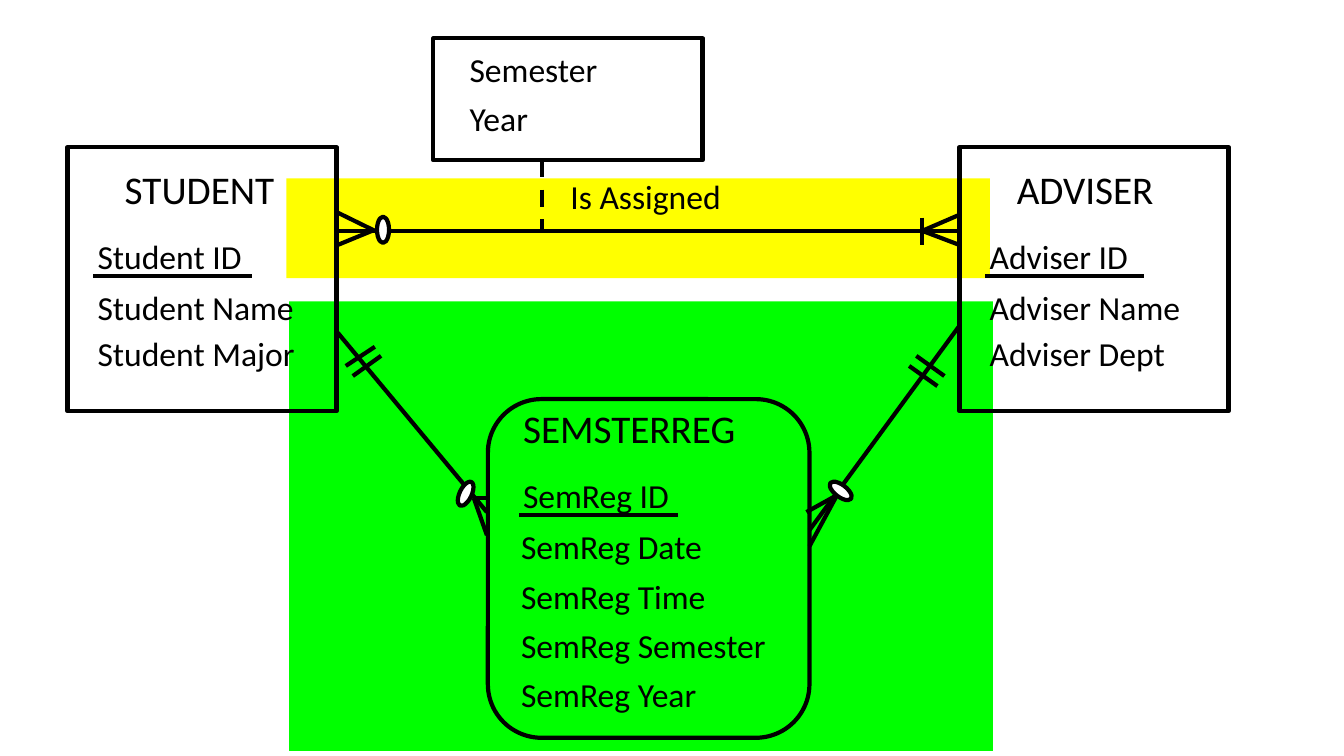
from lxml.etree import SubElement
from pptx import Presentation
from pptx.dml.color import RGBColor
from pptx.enum.dml import MSO_LINE
from pptx.enum.shapes import MSO_CONNECTOR, MSO_SHAPE
from pptx.enum.text import MSO_AUTO_SIZE
from pptx.oxml.ns import qn
from pptx.util import Pt

BLACK, WHITE, YELLOW, GREEN = "000000", "FFFFFF", "FFFF00", "00FF00"
TITLE_SIZE, BODY_SIZE = 28, 24
LINE_WIDTH, RULE_WIDTH, RULE_LENGTH = 3, 2.5, 113.2


def colour(value):
    return RGBColor.from_string(value)


def apply(target, values):
    for name, value in values.items():
        setattr(target, name, value)


def add_box(page, box, kind=MSO_SHAPE.RECTANGLE, fill=None, outlined=True, rotation=0):
    shape = page.shapes.add_shape(kind, *map(Pt, box))
    apply(shape, {"rotation": rotation})
    apply(shape.shadow, {"inherit": False})
    if fill:
        shape.fill.solid()
        shape.fill.fore_color.rgb = colour(fill)
    else:
        shape.fill.background()
    if outlined:
        shape.line.color.rgb = colour(BLACK)
        shape.line.width = Pt(LINE_WIDTH)
    else:
        shape.line.fill.background()


def add_line(page, origin, start, end, width=LINE_WIDTH, dash=None):
    left, top = origin
    ends = (left + start[0], top + start[1], left + end[0], top + end[1])
    line = page.shapes.add_connector(MSO_CONNECTOR.STRAIGHT, *map(Pt, ends))
    line.line.color.rgb = colour(BLACK)
    apply(line.line, {"width": Pt(width), "dash_style": dash})
    SubElement(line._element.spPr, qn("a:effectLst"))


def add_text(page, origin, offset, text, size=BODY_SIZE, width=214):
    left, top = origin[0] + offset[0], origin[1] + offset[1]
    box = page.shapes.add_textbox(Pt(left), Pt(top), Pt(width), Pt(size * 1.5))
    apply(box.text_frame, {"word_wrap": True, "auto_size": MSO_AUTO_SIZE.SHAPE_TO_FIT_TEXT})
    span = box.text_frame.paragraphs[0].add_run()
    span.text = text
    apply(span.font, {"name": "Calibri", "size": Pt(size)})
    span.font.color.rgb = colour(BLACK)


def add_ring(page, origin, offset, rotation=0):
    box = (origin[0] + offset[0], origin[1] + offset[1], 8.6, 18.7)
    add_box(page, box, MSO_SHAPE.OVAL, WHITE, rotation=rotation)


def add_entity(page, box, kind, title, key, attributes, layout):
    origin = box[:2]
    add_box(page, box, kind)
    add_text(page, origin, layout["title"], title, TITLE_SIZE)
    add_text(page, origin, layout["key"], key)
    left, top = layout["rule"]
    add_line(page, origin, (left, top), (left + RULE_LENGTH, top), RULE_WIDTH)
    left, top = layout["first"]
    for index, attribute in enumerate(attributes):
        add_text(page, origin, (left, top + index * layout["step"]), attribute)


def add_term(page, box):
    add_box(page, box)
    for index, text in enumerate(("Semester", "Year")):
        add_text(page, box[:2], (18.7, 4.3 + index * 34.6), text)


def add_assignment(page, box):
    origin = box[:2]
    add_box(page, box, fill=YELLOW, outlined=False)
    add_text(page, origin, (195.8, -5), "Is Assigned")
    axis, student, adviser, bar = 37.5, 36.7, 480.9, 454.3
    add_line(page, origin, (182.9, -12.9), (182.9, axis), dash=MSO_LINE.DASH)
    for start, end in (
        ((student, axis), (adviser, axis)),
        ((bar, 28.1), (bar, 47.6)),
        ((adviser, 26), (bar, axis)),
        ((adviser, 47.6), (bar, axis)),
        ((student, 24.5), (63.3, axis)),
        ((student, 47.6), (61.2, axis)),
    ):
        add_line(page, origin, start, end)
    add_ring(page, origin, (64.8, 27.4))


def add_registration_links(page, box):
    origin = box[:2]
    add_box(page, box, fill=GREEN, outlined=False)
    student_link = (
        ((34.6, 22.3), (141.2, 150.5)),
        ((61.2, 32.4), (40.4, 46.1)),
        ((65.6, 38.9), (45.4, 53.3)),
        ((131.8, 140.4), (141.2, 167)),
        ((132.5, 140.4), (141.2, 140.4)),
    )
    adviser_link = (
        ((478.8, 17.3), (371.6, 163.4)),
        ((468, 53.3), (447.9, 38.9)),
        ((463, 60.5), (442.8, 46.1)),
        ((390.3, 138.9), (369.4, 150.5)),
        ((391, 138.9), (371.6, 174.9)),
    )
    for start, end in student_link + adviser_link:
        add_line(page, origin, start, end)
    add_ring(page, origin, (121.7, 128.1), 25.7)
    add_ring(page, origin, (389.6, 126), 127.3)


deck = Presentation()
apply(deck, {"slide_width": Pt(960), "slide_height": Pt(540)})
page = deck.slides.add_slide(deck.slide_layouts[6])

add_registration_links(page, (206.6, 215.3, 502.6, 321.1))
add_assignment(page, (204.5, 127.4, 502.6, 71.3))
add_term(page, (309.6, 27.4, 192.2, 87.1))

person_layout = {"title": (33.8, 9.4), "key": (14.4, 59.8), "rule": (18.5, 92.2),
                 "first": (14.4, 96.5), "step": 32.4}
registration_layout = {"title": (18, 0), "key": (18, 50.4), "rule": (22.3, 82.8),
                       "first": (16.6, 87.1), "step": 35.3}
people = (
    (48.2, "STUDENT", "Student ID", ("Student Name", "Student Major")),
    (685.4, "ADVISER", "Adviser ID", ("Adviser Name", "Adviser Dept")),
)
for left, title, key, attributes in people:
    add_entity(page, (left, 105.1, 192.2, 188.6), MSO_SHAPE.RECTANGLE,
               title, key, attributes, person_layout)
add_entity(page, (348.5, 285.1, 229.7, 241.9), MSO_SHAPE.ROUNDED_RECTANGLE,
           "SEMSTERREG", "SemReg ID",
           ("SemReg Date", "SemReg Time", "SemReg Semester", "SemReg Year"),
           registration_layout)

deck.save("out.pptx")
